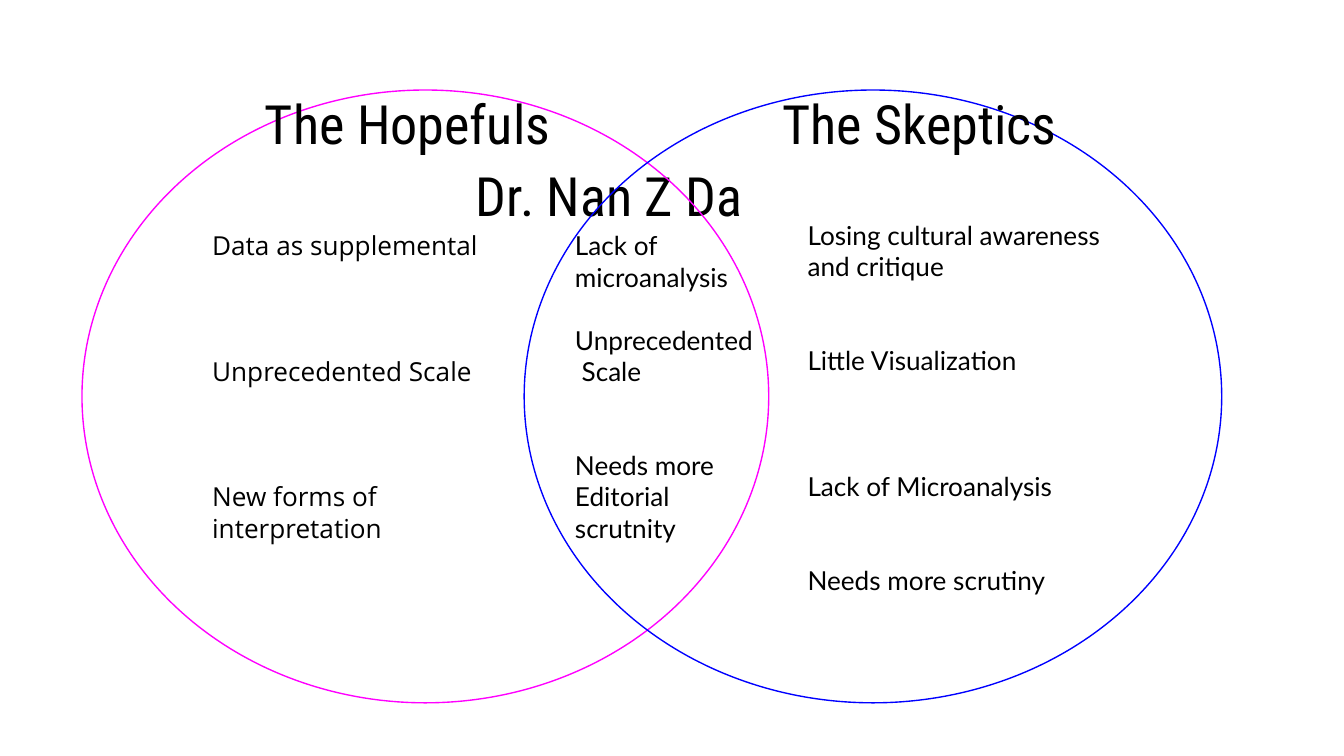
from dataclasses import dataclass

from pptx import Presentation
from pptx.dml.color import RGBColor as RGB
from pptx.enum.shapes import MSO_SHAPE as SHAPE
from pptx.enum.text import MSO_ANCHOR as ANCHOR, MSO_AUTO_SIZE as AUTO, PP_ALIGN as ALIGN
from pptx.util import Inches, Pt


@dataclass(frozen=True)
class Theme:
    ink: RGB = RGB(0x00, 0x00, 0x00)
    hopefuls: RGB = RGB(0xFF, 0x00, 0xFF)
    skeptics: RGB = RGB(0x00, 0x00, 0xFF)
    heading_font: str = "Roboto Condensed"
    body_font: str = "Lato"
    alt_font: str = "Open Sans"
    heading_size: float = 29
    body_size: float = 14
    line_pitch: float = 16.8
    outline: float = 0.75


T = Theme()


def box(left, top, width, height):
    return [Inches(v) for v in (left, top, width, height)]


def add_circle(s, bounds, color):
    sp = s.shapes.add_shape(SHAPE.OVAL, *box(*bounds))
    sp.shadow.inherit = False
    sp.fill.background()
    sp.line.color.rgb = color
    sp.line.width = Pt(T.outline)


def prepare_frame(sp):
    tf = sp.text_frame
    tf.word_wrap = True
    tf.auto_size = AUTO.NONE
    tf.vertical_anchor = ANCHOR.TOP
    tf.margin_left = tf.margin_right = tf.margin_top = tf.margin_bottom = Inches(0.1)
    return tf


def add_run(p, text, font, size):
    r = p.add_run()
    r.text = text
    r.font.name = font
    r.font.size = Pt(size)
    r.font.color.rgb = T.ink


def write_heading(sp, text):
    p = prepare_frame(sp).paragraphs[0]
    p.alignment = ALIGN.CENTER
    add_run(p, text, T.heading_font, T.heading_size)
    return p


def add_heading(s, bounds, text):
    return write_heading(s.shapes.add_textbox(*box(*bounds)), text)


def add_points(s, bounds, font, points):
    """Each point is (blank lines above it, text)."""
    tf = prepare_frame(s.shapes.add_textbox(*box(*bounds)))
    for i, (gap, text) in enumerate(points):
        p = tf.add_paragraph() if i else tf.paragraphs[0]
        p.line_spacing = Pt(T.line_pitch)
        p.space_before = Pt(gap * T.line_pitch)
        add_run(p, text, font, T.body_size)


def main():
    prs = Presentation()
    prs.slide_width = Inches(10)
    prs.slide_height = prs.slide_width * 9 // 16
    s = prs.slides.add_slide(prs.slide_layouts[5])

    # Overlapping circles
    add_circle(s, (0.61, 0.67, 5.11, 4.56), T.hopefuls)
    add_circle(s, (3.9, 0.67, 5.19, 4.56), T.skeptics)

    # Points on each side and in the overlap
    add_points(s, (1.48, 1.61, 2.58, 2.41), T.alt_font, [
        (0, "Data as supplemental"),
        (3, "Unprecedented Scale"),
        (3, "New forms of interpretation"),
    ])
    add_points(s, (5.91, 1.53, 2.48, 3.03), T.body_font, [
        (0, "Losing cultural awareness and critique"),
        (2, "Little Visualization"),
        (3, "Lack of Microanalysis"),
        (2, "Needs more scrutiny"),
    ])
    add_points(s, (4.18, 1.61, 1.54, 2.41), T.body_font, [
        (0, "Lack of microanalysis"),
        (1, "Unprecedented  Scale"),
        (2, "Needs more Editorial  scrutnity"),
    ])

    # Headings, with the overlap's name as the slide title
    p = add_heading(s, (1.48, 0.57, 3.16, 0.62), "The Hopefuls")
    add_run(p, " ", T.body_font, T.body_size)
    add_heading(s, (5.31, 0.57, 3.16, 0.62), "The Skeptics ")
    title = s.shapes.title
    title.left, title.top, title.width, title.height = box(2.94, 1.11, 3.28, 0.82)
    write_heading(title, "Dr. Nan Z Da ")

    prs.save("out.pptx")


if __name__ == "__main__":
    main()
